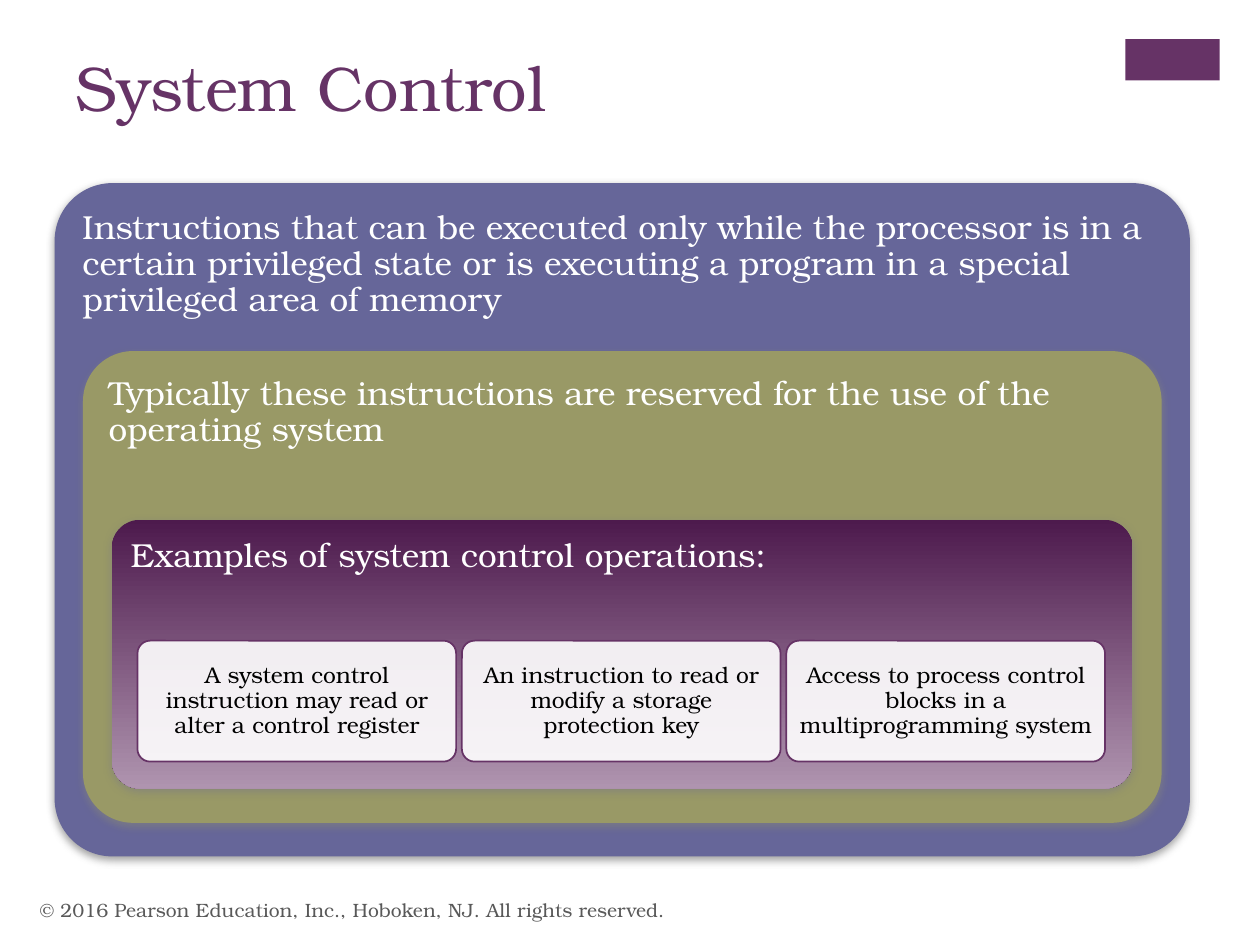
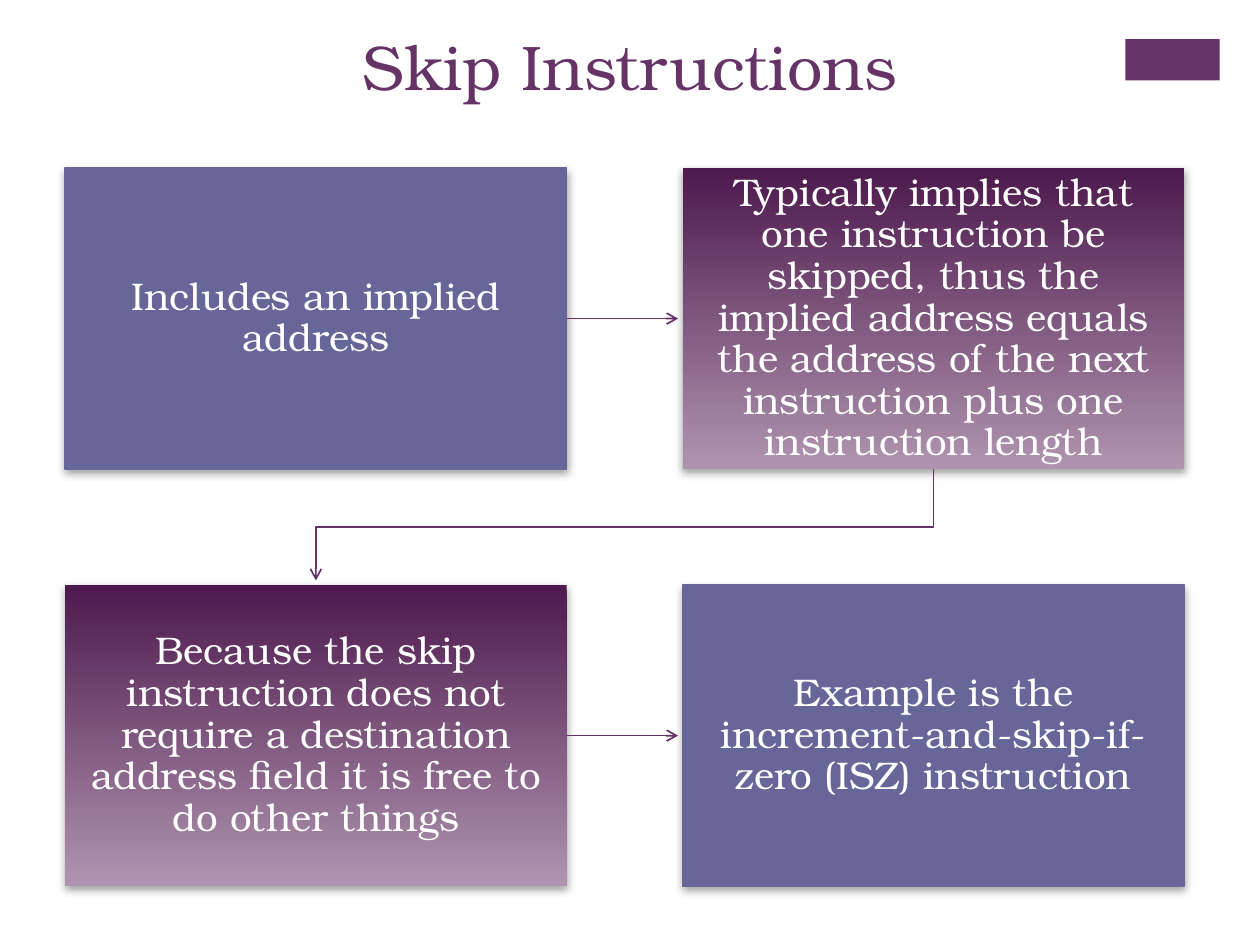
from dataclasses import dataclass
from typing import NamedTuple

from lxml.etree import SubElement
from pptx import Presentation
from pptx.dml.color import RGBColor
from pptx.enum.shapes import MSO_CONNECTOR, MSO_SHAPE
from pptx.enum.text import MSO_ANCHOR, PP_ALIGN
from pptx.oxml.ns import qn
from pptx.util import Pt


@dataclass(frozen=True)
class Theme:
    font: str = "TeX Gyre Bonum"
    plum: str = "663366"
    slate: str = "666699"
    olive: str = "999966"
    gradient: tuple = ("4D1A4D", "AF94AF")
    white: str = "FFFFFF"
    black: str = "000000"
    grey: str = "595959"
    shadow: str = "808080"
    title: float = 36
    step: float = 22
    panel: float = 19
    card: float = 13
    footer: float = 11


class Box(NamedTuple):
    x: float
    y: float
    w: float
    h: float

    def lengths(self):
        return [Pt(v) for v in self]


T = Theme()


def rgb(value):
    return RGBColor.from_string(value)


def write(tf, text, size, color, align=PP_ALIGN.LEFT, anchor=MSO_ANCHOR.TOP,
          inset=None, spacing=None):
    tf.word_wrap = True
    tf.vertical_anchor = anchor
    if inset is not None:
        tf.margin_left = tf.margin_right = Pt(inset)
        tf.margin_top = tf.margin_bottom = Pt(inset)
    p = tf.paragraphs[0]
    p.alignment = align
    p.line_spacing = spacing
    r = p.add_run()
    r.text = text
    r.font.name = T.font
    r.font.size = Pt(size)
    r.font.color.rgb = rgb(color)


def add_block(slide, kind, box, fill, line=None, width=0.75, adj=None):
    sp = slide.shapes.add_shape(kind, *box.lengths())
    sp.shadow.inherit = False
    if adj is not None:
        sp.adjustments[0] = adj
    if isinstance(fill, tuple):
        sp.fill.gradient()
        sp.fill.gradient_angle = 270
        for stop, color, position in zip(sp.fill.gradient_stops, fill, (0, 1)):
            stop.color.rgb = rgb(color)
            stop.position = position
    else:
        sp.fill.solid()
        sp.fill.fore_color.rgb = rgb(fill)
    if line:
        sp.line.color.rgb = rgb(line)
        sp.line.width = Pt(width)
    else:
        sp.line.fill.background()
    return sp


def set_alpha(color, percent):
    SubElement(color, qn("a:alpha"), val=str(percent * 1000))


def add_shadow(sp):
    effects = sp.element.spPr.find(qn("a:effectLst"))
    shadow = SubElement(effects, qn("a:outerShdw"), blurRad=str(Pt(5)),
                        dist=str(Pt(2)), dir="5400000", rotWithShape="0")
    set_alpha(SubElement(shadow, qn("a:srgbClr"), val=T.shadow), 75)


def add_filled(slide, kind, box, fill, adj=None):
    line = None if isinstance(fill, tuple) else fill
    sp = add_block(slide, kind, box, fill, line, adj=adj)
    add_shadow(sp)
    return sp


def style_arrow(sp):
    sp.line.color.rgb = rgb(T.plum)
    sp.line.width = Pt(1)
    SubElement(sp.element.spPr.find(qn("a:ln")), qn("a:tailEnd"), type="arrow")


def add_title_slide(prs, text, box, align):
    slide = prs.slides.add_slide(prs.slide_layouts[5])
    title = slide.shapes.title
    title.left, title.top, title.width, title.height = box.lengths()
    write(title.text_frame, text, T.title, T.plum, align)
    add_block(slide, MSO_SHAPE.RECTANGLE, Box(643, 22.4, 54, 23.6), T.plum)
    return slide


def add_cards(slide, box, texts, gap=3.3):
    w = (box.w - gap * (len(texts) - 1)) / len(texts)
    for i, text in enumerate(texts):
        card = Box(box.x + i * (w + gap), box.y, w, box.h)
        sp = add_block(slide, MSO_SHAPE.ROUNDED_RECTANGLE, card, T.white,
                       T.plum, 1, 0.105)
        set_alpha(sp.element.spPr.find(qn("a:solidFill"))[0], 90)
        write(sp.text_frame, text, T.card, T.black, PP_ALIGN.CENTER,
              MSO_ANCHOR.MIDDLE, 3.6, 0.9)


def add_nested_panels(slide, box, panels, cards):
    inset, drop, shrink = box.w * 0.025, box.h * 0.25, box.h * 0.3
    for i, (text, fill, adj) in enumerate(panels):
        panel = Box(box.x + i * inset, box.y + i * drop,
                    box.w - 2 * i * inset, box.h - i * shrink)
        sp = add_filled(slide, MSO_SHAPE.ROUNDED_RECTANGLE, panel, fill, adj)
        write(sp.text_frame, text, T.panel, T.white, inset=6, spacing=0.9)
    row = Box(panel.x + panel.w * 0.025, panel.y + panel.h * 0.45,
              panel.w * 0.948, panel.h * 0.45)
    add_cards(slide, row, cards)


def add_footer(slide, box, text):
    sp = slide.shapes.add_textbox(*box.lengths())
    write(sp.text_frame, text, T.footer, T.grey, anchor=MSO_ANCHOR.MIDDLE)


def add_step_arrow(slide, sp, length):
    y = sp.top + sp.height // 2
    right = sp.left + sp.width
    arrow = slide.shapes.add_connector(MSO_CONNECTOR.STRAIGHT, right, y,
                                       right + Pt(length), y)
    arrow.begin_connect(sp, 3)
    style_arrow(arrow)
    SubElement(arrow.element.spPr, qn("a:effectLst"))


def add_return_arrow(slide, start, end, clearance):
    x1, y1 = start.left + start.width // 2, start.top + start.height
    x2, y2 = end.left + end.width // 2, end.top
    middle = (y1 + y2) // 2
    path = slide.shapes.build_freeform(x1, y1)
    path.add_line_segments(
        [(x1, middle), (x2, middle), (x2, y2 - Pt(clearance))], close=False)
    sp = path.convert_to_shape()
    sp.shadow.inherit = False
    sp.fill.background()
    style_arrow(sp)


def add_step_flow(slide, box, steps, gap=66.2, clearance=2.6):
    w, h = (box.w - gap) / 2, (box.h - gap) / 2
    blocks = []
    for i, (text, fill) in enumerate(steps):
        row, col = divmod(i, 2)
        cell = Box(box.x + col * (w + gap), box.y + row * (h + gap), w, h)
        sp = add_filled(slide, MSO_SHAPE.RECTANGLE, cell, fill)
        write(sp.text_frame, text, T.step, T.white, PP_ALIGN.CENTER,
              MSO_ANCHOR.MIDDLE, 12.2, 0.9)
        blocks.append(sp)
    for sp in blocks[::2]:
        add_step_arrow(slide, sp, gap - clearance)
    add_return_arrow(slide, blocks[1], blocks[2], clearance)


def build_system_control(prs):
    slide = add_title_slide(prs, "System Control", Box(36, 24, 594.7, 87.8),
                            PP_ALIGN.LEFT)
    panels = [
        ("Instructions that can be executed only while the processor is in a "
         "certain privileged state or is executing a program in a special "
         "privileged area of memory", T.slate, 0.085),
        ("Typically these instructions are reserved for the use of the "
         "operating system", T.olive, 0.105),
        ("Examples of system control operations:", T.gradient, 0.105),
    ]
    cards = [
        "A system control instruction may read or alter a control register",
        "An instruction to read or modify a storage protection key",
        "Access to process control blocks in a multiprogramming system",
    ]
    add_nested_panels(slide, Box(31.6, 105, 648, 384), panels, cards)
    add_footer(slide, Box(15.8, 505.4, 482.4, 28.8),
               "© 2016 Pearson Education, Inc., Hoboken, NJ. "
               "All rights reserved.")


def build_skip_instructions(prs):
    slide = add_title_slide(prs, "Skip Instructions", Box(0, 12, 720, 75.6),
                            PP_ALIGN.CENTER)
    steps = [
        ("Includes an implied address", T.slate),
        ("Typically implies that one instruction be skipped, thus the implied "
         "address equals the address of the next instruction plus one "
         "instruction length", T.gradient),
        ("Because the skip instruction does not require a destination address "
         "field it is free to do other things", T.gradient),
        ("Example is the increment-and-skip-if-zero (ISZ) instruction",
         T.slate),
    ]
    add_step_flow(slide, Box(37.2, 96, 639.6, 410.4), steps)


def main():
    prs = Presentation()
    prs.slide_width, prs.slide_height = Pt(720), Pt(540)
    build_system_control(prs)
    build_skip_instructions(prs)
    prs.save("out.pptx")


if __name__ == "__main__":
    main()
